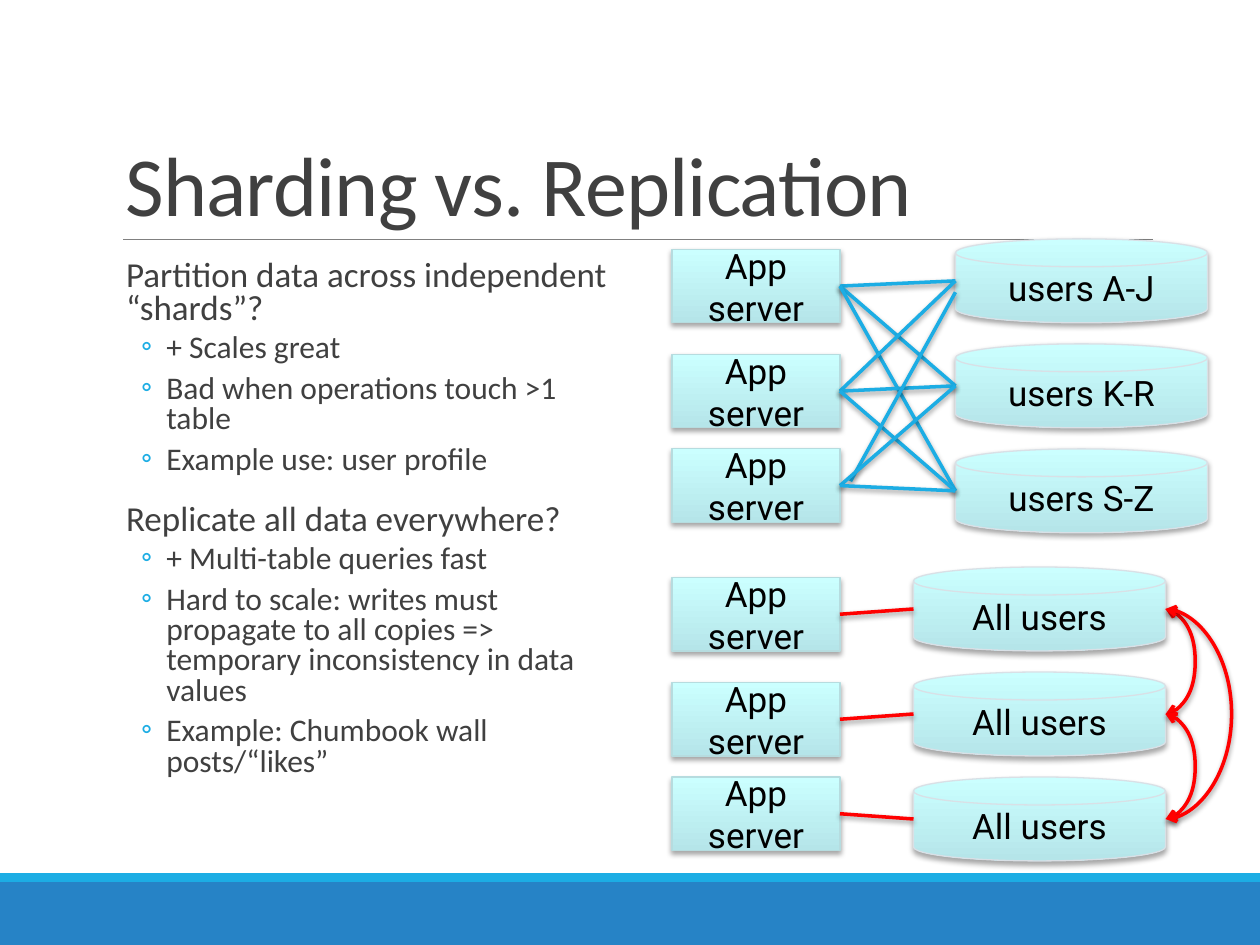
import pptx
import pptx.util
import pptx.dml.color
import pptx.enum.shapes
import pptx.enum.text
import pptx.oxml
import pptx.oxml.ns

Pt = pptx.util.Pt
SHAPE = pptx.enum.shapes.MSO_SHAPE
CONNECTOR = pptx.enum.shapes.MSO_CONNECTOR
ALIGN = pptx.enum.text.PP_ALIGN
ANCHOR = pptx.enum.text.MSO_ANCHOR

COLORS = {
    "ink": "404040", "black": "000000", "rule": "808080",
    "band": "2683C6", "accent": "1CADE4", "replica": "FF0000",
    "box_top": "CBFFFF", "box_bottom": "B5E5E9",
    "disk_edge": "D9E0E6", "server_edge": "B6DCDF",
}

BODY = [
    (0, "Partition data across independent “shards”?"),
    (1, "+ Scales great"),
    (1, "Bad when operations touch >1 table"),
    (1, "Example use: user profile"),
    (0, "Replicate all data everywhere?"),
    (1, "+ Multi-table queries fast"),
    (1, "Hard to scale: writes must propagate to all copies => temporary inconsistency in data values"),
    (1, "Example: Chumbook wall posts/“likes”"),
]

SERVER_LEFT, SERVER_WIDTH, SERVER_HEIGHT = 384, 96, 42
DISK_WIDTH, DISK_HEIGHT = 144, 48
SERVER_OFFSETS = (6, 66, 120)
DISK_OFFSETS = (0, 60, 120)


class Page:
    def __init__(self, deck):
        self.shapes = deck.slides.add_slide(deck.slide_layouts[6]).shapes

    def color(self, name):
        return pptx.dml.color.RGBColor.from_string(COLORS[name])

    def add_xml(self, parent, tag, **attributes):
        child = pptx.oxml.parse_xml(f"<a:{tag} {pptx.oxml.ns.nsdecls('a')}/>")
        for key, value in attributes.items():
            child.set(key, str(value))
        parent.append(child)
        return child

    def shadow(self, item, alpha=0, distance=0):
        effects = self.add_xml(item._element.spPr, "effectLst")
        if alpha:
            outer = self.add_xml(effects, "outerShdw", blurRad=Pt(3.1), dist=Pt(distance),
                                 dir=90 * 60000, rotWithShape=0)
            tint = self.add_xml(outer, "srgbClr", val=COLORS["black"])
            self.add_xml(tint, "alpha", val=alpha * 1000)

    def style(self, para, size, font, color):
        for span in para.runs:
            span.font.size = Pt(size)
            span.font.name = font
            span.font.color.rgb = self.color(color)

    def textbox(self, left, top, width, height):
        box = self.shapes.add_textbox(Pt(left), Pt(top), Pt(width), Pt(height))
        box.text_frame.word_wrap = True
        return box.text_frame

    def band(self, top, height, color):
        box = self.shapes.add_shape(SHAPE.RECTANGLE, 0, Pt(top), Pt(720), Pt(height))
        box.fill.solid()
        box.fill.fore_color.rgb = self.color(color)
        box.line.fill.background()
        self.shadow(box)

    def title(self, text):
        frame = self.textbox(64.8, 22.5, 594, 114.3)
        frame.vertical_anchor = ANCHOR.BOTTOM
        frame.text = text
        para = frame.paragraphs[0]
        para.line_spacing = 0.85
        self.style(para, 48, "Calibri", "ink")
        para.runs[0].font._element.set("spc", "-50")

    def body(self, items):
        frame = self.textbox(64.8, 145.2, 291.6, 317)
        frame.margin_left = frame.margin_right = 0
        frame.text = "\n".join(text for level, text in items)
        for para, (level, text) in zip(frame.paragraphs, items):
            margin, indent, before, after, size = [(7.2, 0, 12, 2, 20), (30.24, -14.4, 2, 4, 18)][level]
            para.level = level
            para.line_spacing = 0.8
            para.space_before, para.space_after = Pt(before), Pt(after)
            self.style(para, size, "Calibri", "ink")
            props = para._p.get_or_add_pPr()
            props.set("marL", str(Pt(margin)))
            props.set("indent", str(Pt(indent)))
            if level:
                bullet = self.add_xml(props, "buClr")
                self.add_xml(bullet, "srgbClr", val=COLORS["accent"])
                self.add_xml(props, "buFont", typeface="Calibri")
                self.add_xml(props, "buChar", char="◦")

    def node(self, preset, left, top, width, height, edge, text):
        box = self.shapes.add_shape(preset, Pt(left), Pt(top), Pt(width), Pt(height))
        box.fill.gradient()
        box.fill.gradient_angle = 270
        for stop, name in zip(box.fill.gradient_stops, ("box_top", "box_bottom")):
            stop.color.rgb = self.color(name)
        box.line.color.rgb = self.color(edge)
        box.line.width = Pt(0.75)
        self.shadow(box, 35, 1.8)
        frame = box.text_frame
        frame.word_wrap = True
        frame.vertical_anchor = ANCHOR.MIDDLE
        frame.text = text
        frame.paragraphs[0].alignment = ALIGN.CENTER
        self.style(frame.paragraphs[0], 20, "Roboto", "black")

    def connector(self, start, end, color, width=2, kind=CONNECTOR.STRAIGHT, shaded=True):
        link = self.shapes.add_connector(kind, *(Pt(value) for value in (*start, *end)))
        link.line.color.rgb = self.color(color)
        link.line.width = Pt(width)
        self.shadow(link, 38 if shaded else 0, 1.6)
        return link

    def sync_arrow(self, x, start, end, bulge):
        sliver = 0.12
        link = self.connector((x, start), (x + sliver, end), "replica", kind=CONNECTOR.CURVE)
        outline = link.line._get_or_add_ln()
        self.add_xml(outline, "headEnd", type="arrow")
        self.add_xml(outline, "tailEnd", type="arrow")
        guides = link._element.spPr.prstGeom.get_or_add_avLst()
        self.add_xml(guides, "gd", name="adj1", fmla=f"val {round(bulge / sliver * 100000)}")

    def cluster(self, disk_left, top, labels):
        for offset, label in zip(DISK_OFFSETS, labels):
            self.node(SHAPE.FLOWCHART_MAGNETIC_DISK, disk_left, top + offset,
                      DISK_WIDTH, DISK_HEIGHT, "disk_edge", label)
        for offset in SERVER_OFFSETS:
            self.node(SHAPE.RECTANGLE, SERVER_LEFT, top + offset,
                      SERVER_WIDTH, SERVER_HEIGHT, "server_edge", "App server")
        servers = [(SERVER_LEFT + SERVER_WIDTH, top + offset + SERVER_HEIGHT / 2) for offset in SERVER_OFFSETS]
        disks = [(disk_left, top + offset + DISK_HEIGHT / 2) for offset in DISK_OFFSETS]
        return servers, disks


def main():
    deck = pptx.Presentation()
    deck.slide_width, deck.slide_height = Pt(720), Pt(540)
    page = Page(deck)
    page.band(504, 36, "band")
    page.band(499, 5, "accent")
    page.connector((70.5, 136.8), (658.8, 136.8), "rule", 0.5, shaded=False)
    page.title("Sharding vs. Replication")
    page.body(BODY)

    servers, shards = page.cluster(546, 136.5, ["users A-J", "users K-R", "users S-Z"])
    for server in servers:
        for shard in shards:
            if (server, shard) == (servers[2], shards[0]):
                page.connector((486, 275), (546, 167), "accent")
            else:
                page.connector(server, shard, "accent")

    servers, replicas = page.cluster(522, 324, ["All users"] * 3)
    for server, replica in zip(servers, replicas):
        page.connector(server, replica, "replica")
    for first, last, bulge in ((0, 1, 18), (1, 2, 18), (0, 2, 40)):
        page.sync_arrow(522 + DISK_WIDTH, replicas[first][1], replicas[last][1], bulge)

    deck.save("out.pptx")


if __name__ == "__main__":
    main()
